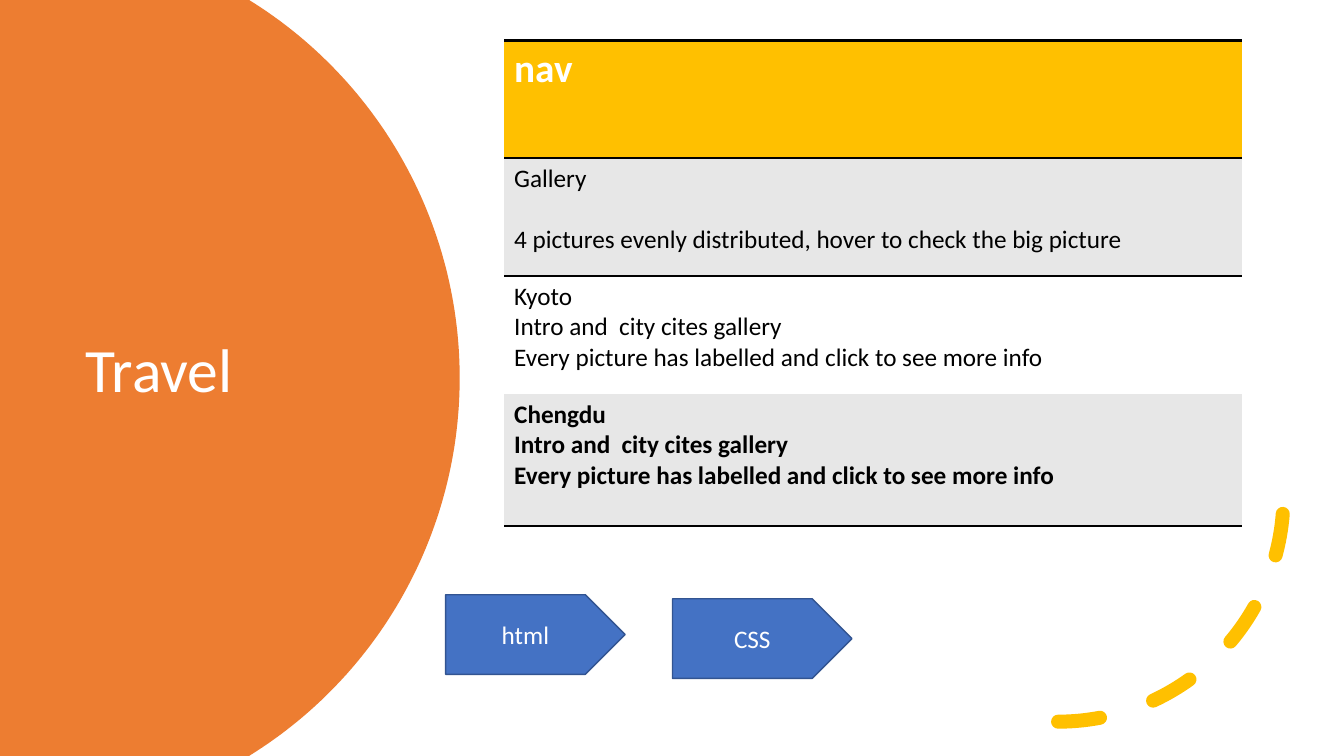
from math import asin, cos, sin

from lxml import etree
from pptx import Presentation
from pptx.dml.color import RGBColor
from pptx.enum.dml import MSO_LINE
from pptx.enum.shapes import MSO_SHAPE
from pptx.enum.text import MSO_ANCHOR, PP_ALIGN
from pptx.oxml import parse_xml
from pptx.oxml.ns import qn
from pptx.util import Inches, Pt

W, H = 13.33, 7.5
FONT = "Calibri"
COLORS = {"orange": "ED7D31", "gold": "FFC000", "grey": "E7E7E7", "white": "FFFFFF",
          "black": "000000", "blue": "4472C4", "navy": "325491"}
TITLE = "Travel"
CITY = ["Intro and  city cites gallery",
        "Every picture has labelled and click to see more info"]
# lines, size, bold, text colour, fill, ruled sides, space between lines, row height
ROWS = [
    (["nav"], 28, True, "white", "gold", ["T", "B"], 0, 1.17),
    (["Gallery", "4 pictures evenly distributed, hover to check the big picture"],
     18, False, "black", "grey", ["T"], 22, 1.17),
    (["Kyoto"] + CITY, 18, False, "black", "white", [], 0, 1.17),
    (["Chengdu"] + CITY, 18, True, "black", "grey", ["B"], 0, 1.31),
]
TAGS = [("CSS", 6.67, 5.94), ("html", 4.42, 5.9)]
TAG_SIZE = (1.78, 0.79)
PLAIN_TABLE = "{2D5ABB26-0587-4C30-8999-92F81FD0307C}"
A_NS = "http://schemas.openxmlformats.org/drawingml/2006/main"


def rgb(name):
    """Return the named colour."""
    return RGBColor.from_string(COLORS[name])


def box(*lengths):
    """Convert inches to slide units."""
    return [Inches(n) for n in lengths]


def write(frame, lines, size, color, bold=False, align=None, gap=0):
    """Fill a text frame with one paragraph per line."""
    for i, line in enumerate(lines):
        para = frame.add_paragraph() if i else frame.paragraphs[0]
        para.alignment = align
        if i and gap:
            para.space_before = Pt(gap)
        run = para.add_run()
        run.text = line
        run.font.name, run.font.size, run.font.bold = FONT, Pt(size), bold
        run.font.color.rgb = rgb(color)


def paint(shape, fill=None, line=None, width=1):
    """Set fill and outline, without a shadow."""
    shape.shadow.inherit = False
    for part, color in ((shape.fill, fill), (shape.line.fill, line)):
        if color:
            part.solid()
            part.fore_color.rgb = rgb(color)
        else:
            part.background()
    if line:
        shape.line.width = Pt(width)


def add_disc(slide, right=4.56, radius=4.41, steps=120):
    """Draw the part of a large disc that lies on the slide."""
    reach = asin(H / 2 / radius)
    angles = [reach * (2 * i / steps - 1) for i in range(steps + 1)]
    points = [box(right - radius + radius * cos(a), H / 2 + radius * sin(a)) for a in angles]
    builder = slide.shapes.build_freeform(0, 0)
    builder.add_line_segments(points + [box(0, H)], close=True)
    paint(builder.convert_to_shape(), "orange")


def add_dashed_arc(slide):
    """Draw the dashed quarter circle at the lower right."""
    arc = slide.shapes.add_shape(MSO_SHAPE.ARC, *box(8.26, 2.69, 4.47, 4.47))
    paint(arc, line="gold", width=10)
    arc.line.dash_style = MSO_LINE.DASH
    arc.line._ln.set("cap", "rnd")
    arc._element.spPr.find(qn("a:xfrm")).set("flipV", "1")


def rule_cell(cell, sides):
    """Draw black rules on the given sides of a cell."""
    props = cell._tc.get_or_add_tcPr()
    for i, side in enumerate(sides):
        props.insert(i, parse_xml(
            f'<a:ln{side} xmlns:a="{A_NS}" w="{Pt(2)}"><a:solidFill>'
            f'<a:srgbClr val="{COLORS["black"]}"/></a:solidFill></a:ln{side}>'))


def add_page_table(slide):
    """Add the one-column table of page sections."""
    height = sum(row[-1] for row in ROWS)
    table = slide.shapes.add_table(len(ROWS), 1, *box(5, 0.4, 7.32, height)).table
    table.horz_banding = table.first_row = False
    table._tbl.tblPr.find(qn("a:tableStyleId")).text = PLAIN_TABLE
    for i, (lines, size, bold, color, fill, sides, gap, tall) in enumerate(ROWS):
        table.rows[i].height = Inches(tall)
        cell = table.cell(i, 0)
        write(cell.text_frame, lines, size, color, bold, gap=gap)
        cell.fill.solid()
        cell.fill.fore_color.rgb = rgb(fill)
        rule_cell(cell, sides)


def add_tag(slide, label, left, top):
    """Add a pentagon arrow naming a language."""
    tag = slide.shapes.add_shape(MSO_SHAPE.PENTAGON, *box(left, top, *TAG_SIZE))
    paint(tag, "blue", "navy")
    tag.text_frame.vertical_anchor = MSO_ANCHOR.MIDDLE
    write(tag.text_frame, [label], 18, "white", align=PP_ALIGN.CENTER)


def place_title(slide):
    """Set the title over the disc."""
    title = slide.shapes.title
    title.left, title.top, title.width, title.height = box(0.75, 1.26, 3.5, 4.88)
    title.text_frame.vertical_anchor = MSO_ANCHOR.MIDDLE
    title.text_frame.word_wrap = True
    write(title.text_frame, [TITLE], 44, "white", align=PP_ALIGN.LEFT)
    title.text_frame.paragraphs[0].line_spacing = 0.9
    slide.shapes._spTree.append(title._element)


prs = Presentation()
prs.slide_width, prs.slide_height = box(W, H)
page = prs.slides.add_slide(prs.slide_layouts[5])
add_disc(page)
place_title(page)
add_dashed_arc(page)
add_page_table(page)
for tag_spec in TAGS:
    add_tag(page, *tag_spec)
prs.save("out.pptx")
